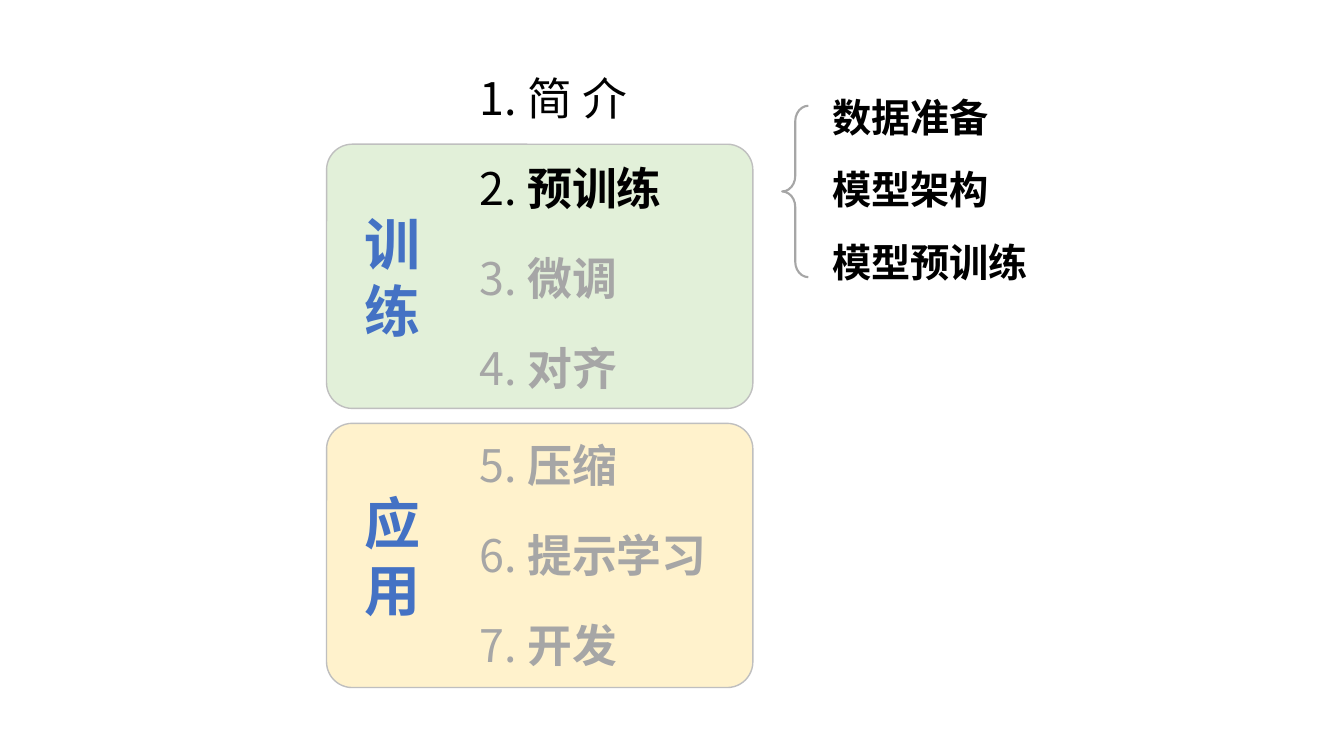
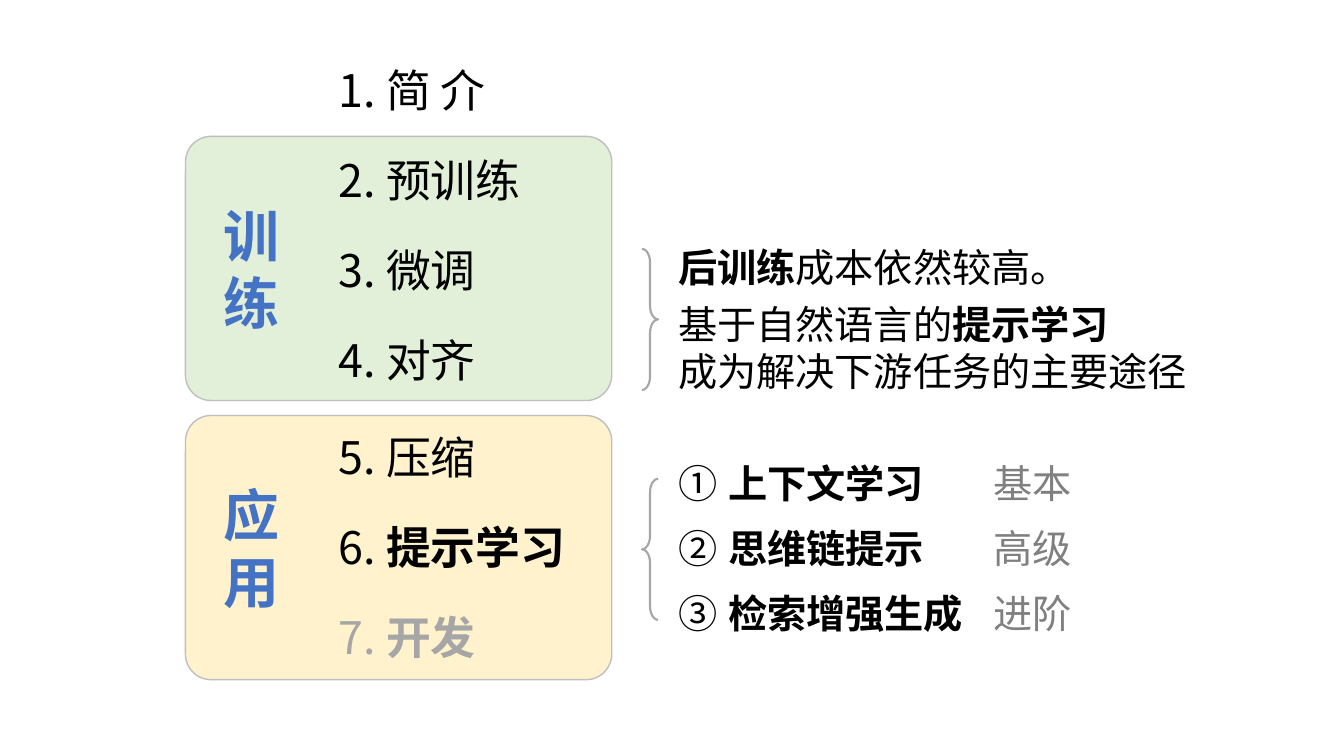
from lxml import etree
from pptx import Presentation
from pptx.dml.color import RGBColor
from pptx.enum.shapes import MSO_SHAPE
from pptx.enum.text import MSO_ANCHOR, PP_ALIGN
from pptx.oxml.ns import qn
from pptx.util import Pt

ROUNDED = MSO_SHAPE.ROUNDED_RECTANGLE
LEFT_BRACE = MSO_SHAPE.LEFT_BRACE
RIGHT_BRACE = MSO_SHAPE.RIGHT_BRACE
LEFT = PP_ALIGN.LEFT
TOP = MSO_ANCHOR.TOP
MIDDLE = MSO_ANCHOR.MIDDLE

BLACK = RGBColor(0x00, 0x00, 0x00)
BLUE = RGBColor(0x44, 0x72, 0xC4)
GREEN = RGBColor(0xE2, 0xF0, 0xD9)
CREAM = RGBColor(0xFF, 0xF2, 0xCC)
BORDER = RGBColor(0xBF, 0xBF, 0xBF)
MUTED = RGBColor(0xA6, 0xA6, 0xA6)
LEVEL = RGBColor(0x80, 0x80, 0x80)

NOTO = "Noto Sans CJK SC"
ARIAL = "Arial"

CARD_WIDTH, CARD_HEIGHT, CARD_PITCH = 304.5, 188.7, 199.4
ROW_LEFT, ROW_PITCH, INTRO_RISE = 95, 64.4, 56.2
CARDS = [
    ("训练", GREEN, 8.2, ["2. 预训练", "3. 微调", "4. 对齐"]),
    ("应用", CREAM, 6.4, ["5. 压缩", "6. 提示学习", "7. 开发"]),
]


def add_text(para, text, size=28, color=BLACK, bold=False, font=NOTO):
    """Append a formatted run for Latin and Chinese text."""
    span = para.add_run()
    span.text = text
    span.font.size = Pt(size)
    span.font.bold = bold
    span.font.color.rgb = color
    span.font.name = font
    east_asian = etree.SubElement(span._r.get_or_add_rPr(), qn("a:ea"))
    east_asian.set("typeface", font)


class OutlineDeck:
    """Hold the deck, its style and the current page."""

    def __init__(self):
        self.deck = Presentation()
        self.deck.slide_width, self.deck.slide_height = Pt(960), Pt(540)
        self.page = None

    def add_page(self):
        self.page = self.deck.slides.add_slide(self.deck.slide_layouts[6])

    def add_box(self, left, top, width, height, inset=7.2, wrap=True):
        box = self.page.shapes.add_textbox(Pt(left), Pt(top), Pt(width), Pt(height))
        frame = box.text_frame
        frame.word_wrap = wrap
        frame.vertical_anchor = TOP
        frame.margin_left = Pt(inset)
        return frame.paragraphs[0]

    def add_shape(self, kind, left, top, width, height, line, weight, adjust):
        shape = self.page.shapes.add_shape(kind, Pt(left), Pt(top), Pt(width), Pt(height))
        shape.shadow.inherit = False
        shape.line.color.rgb = line
        shape.line.width = Pt(weight)
        shape.adjustments[0] = adjust
        return shape

    def add_brace(self, kind, left, top, width, height, adjust):
        brace = self.add_shape(kind, left, top, width, height, MUTED, 1.5, adjust)
        brace.fill.background()

    def add_card(self, left, top, label, fill):
        card = self.add_shape(ROUNDED, left, top, CARD_WIDTH, CARD_HEIGHT, BORDER, 1, 0.097)
        card.fill.solid()
        card.fill.fore_color.rgb = fill
        frame = card.text_frame
        frame.margin_left = Pt(21.6)
        frame.vertical_anchor = MIDDLE
        for index, character in enumerate(label):
            para = frame.add_paragraph() if index else frame.paragraphs[0]
            para.alignment = LEFT
            add_text(para, character, size=40, color=BLUE, bold=True)

    def add_row(self, left, top, text, number_color, color, bold):
        number, title = text.split(" ", 1)
        para = self.add_box(left, top, 209.5, 46, inset=14.4)
        add_text(para, number + " ", size=32, color=number_color)
        add_text(para, title, size=32, color=color, bold=bold)

    def add_outline(self, left, top, current):
        for index, (label, fill, *_) in enumerate(CARDS):
            self.add_card(left, top + index * CARD_PITCH, label, fill)
        row_left = left + ROW_LEFT
        self.add_row(row_left, top - INTRO_RISE, "1. 简 介", BLACK, BLACK, False)
        for index, (_, _, first, titles) in enumerate(CARDS):
            for row, text in enumerate(titles):
                chapter = 2 + index * len(titles) + row
                color = MUTED if chapter > current else BLACK
                row_top = top + index * CARD_PITCH + first + row * ROW_PITCH
                self.add_row(row_left, row_top, text, color, color, chapter >= current)

    def add_topics(self, left, top, pitch, topics):
        for index, topic in enumerate(topics):
            para = self.add_box(left, top + index * pitch, 156, 41, wrap=False)
            add_text(para, topic, bold=True)

    def add_levels(self, left, top, pitch, levels):
        for index, (number, topic, level) in enumerate(levels):
            para = self.add_box(left, top + index * pitch, 321, 41)
            tabs = etree.SubElement(para._p.get_or_add_pPr(), qn("a:tabLst"))
            etree.SubElement(tabs, qn("a:tab"), pos=str(Pt(225)), algn="l")
            add_text(para, number, font=ARIAL)
            add_text(para, f" {topic}\t", bold=True, font=ARIAL)
            add_text(para, level, color=LEVEL)

    def add_remarks(self, left, top):
        para = self.add_box(left, top, 297, 41, wrap=False)
        add_text(para, "后训练", bold=True, font=ARIAL)
        add_text(para, "成本依然较高。", font=ARIAL)
        para = self.add_box(left, top + 41, 405, 75)
        add_text(para, "基于自然语言的", font=ARIAL)
        add_text(para, "提示学习", bold=True, font=ARIAL)
        para.add_line_break()
        add_text(para, "成为解决下游任务的主要途径", font=ARIAL)


def main():
    """Build the two outline pages."""
    outline = OutlineDeck()

    outline.add_page()
    outline.add_outline(233.3, 103, current=2)
    outline.add_brace(LEFT_BRACE, 558.7, 75.6, 18.7, 122.4, 0.592)
    outline.add_topics(587.5, 63.4, 51.5, ["数据准备", "模型架构", "模型预训练"])

    outline.add_page()
    outline.add_outline(132.5, 97.4, current=6)
    outline.add_brace(RIGHT_BRACE, 458.6, 177.8, 11.5, 100.8, 0.84)
    outline.add_remarks(477.4, 170)
    outline.add_brace(LEFT_BRACE, 458.6, 342, 11.5, 100.8, 0.84)
    outline.add_levels(477.4, 324.7, 46.4, [
        ("①", "上下文学习", "基本"),
        ("②", "思维链提示", "高级"),
        ("③", "检索增强生成", "进阶"),
    ])

    outline.deck.save("out.pptx")


if __name__ == "__main__":
    main()
